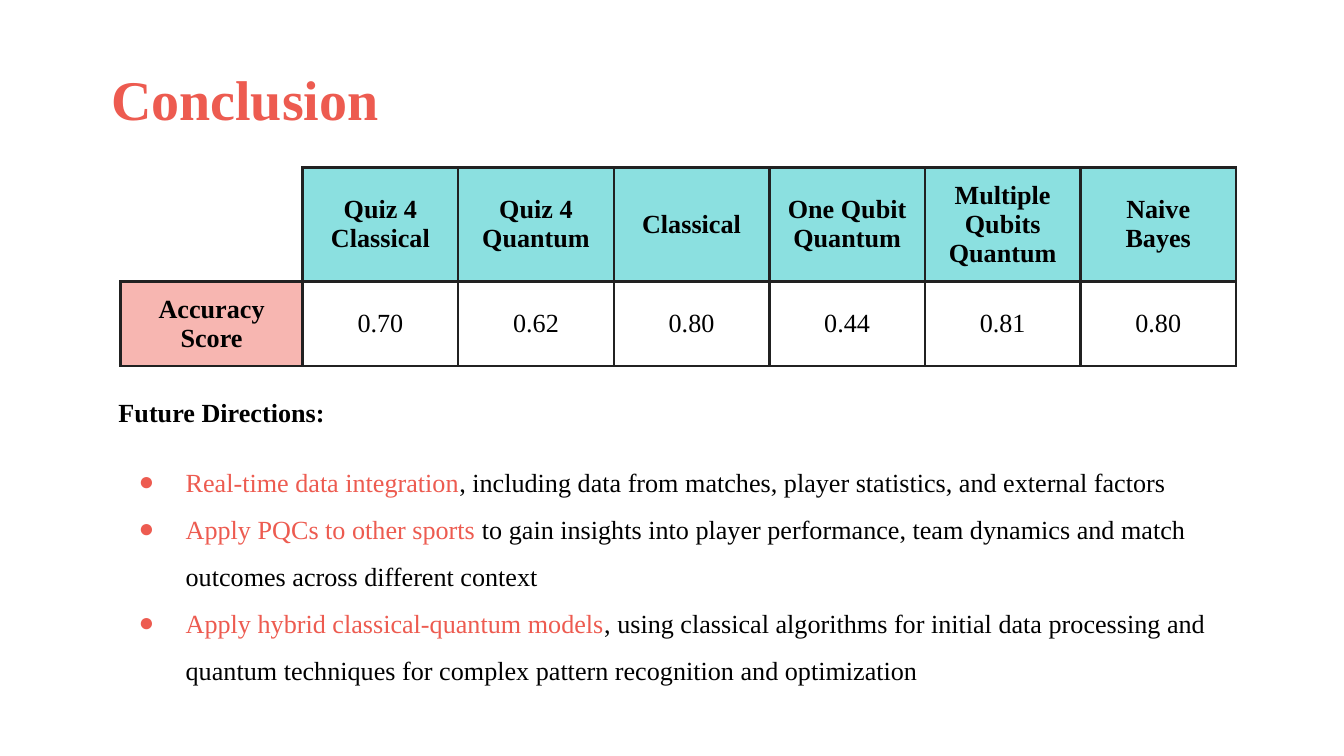
from lxml.etree import SubElement
from pptx import Presentation
from pptx.dml.color import RGBColor
from pptx.enum.text import MSO_ANCHOR, MSO_AUTO_SIZE, PP_ALIGN
from pptx.oxml import parse_xml
from pptx.oxml.ns import nsdecls, qn
from pptx.util import Cm, Pt

FONT = "Times New Roman"
CORAL = "ED5B50"
BLACK = "000000"
BORDER = "212121"
TEAL = "18C2C2"
PINK = "F06F65"
INSET = Cm(0.25)

HEADERS = [
    ["Quiz 4", "Classical"],
    ["Quiz 4", "Quantum"],
    ["Classical"],
    ["One Qubit Quantum"],
    ["Multiple Qubits Quantum"],
    ["Naive Bayes"],
]
SCORES = ["0.70", "0.62", "0.80", "0.44", "0.81", "0.80"]
DIRECTIONS = [
    ("Real-time data integration",
     ", including data from matches, player statistics, and external factors"),
    ("Apply PQCs to other sports",
     " to gain insights into player performance, team dynamics and match "
     "outcomes across different context"),
    ("Apply hybrid classical-quantum models",
     ", using classical algorithms for initial data processing and quantum "
     "techniques for complex pattern recognition and optimization"),
]


def color(value):
    return RGBColor.from_string(value)


def add_span(para, text, size=14, fill=BLACK, bold=False):
    span = para.add_run()
    span.text = text
    span.font.name = FONT
    span.font.size = Pt(size)
    span.font.bold = bold
    span.font.color.rgb = color(fill)


def set_frame(frame, anchor):
    frame.margin_left = frame.margin_right = INSET
    frame.margin_top = frame.margin_bottom = INSET
    frame.vertical_anchor = anchor
    frame.word_wrap = True
    frame.auto_size = MSO_AUTO_SIZE.NONE


def add_title(page, text):
    title = page.shapes.title
    title.left, title.top = Cm(1.85), Cm(1.22)
    title.width, title.height = Cm(22.15), Cm(1.27)
    set_frame(title.text_frame, MSO_ANCHOR.MIDDLE)
    para = title.text_frame.paragraphs[0]
    para.alignment = PP_ALIGN.LEFT
    add_span(para, text, 30, CORAL, True)


def add_borders(cell, sides):
    properties = cell._tc.get_or_add_tcPr()
    for position, side in enumerate(sides):
        line = parse_xml(
            f'<a:ln{side} {nsdecls("a")} w="{Pt(1.5)}"><a:solidFill>'
            f'<a:srgbClr val="{BORDER}"/></a:solidFill></a:ln{side}>')
        properties.insert(position, line)


def fill_cell(cell, lines, fill=None, bold=False, sides="LRTB"):
    cell.margin_left = cell.margin_right = INSET
    cell.margin_top = cell.margin_bottom = INSET
    cell.vertical_anchor = MSO_ANCHOR.MIDDLE
    if fill:
        cell.fill.solid()
        cell.fill.fore_color.rgb = color(fill)
        shade = cell._tc.tcPr.find(qn("a:solidFill")).find(qn("a:srgbClr"))
        SubElement(shade, qn("a:alpha"), val="50000")
    else:
        cell.fill.background()
    add_borders(cell, sides)
    frame = cell.text_frame
    for index, text in enumerate(lines):
        para = frame.add_paragraph() if index else frame.paragraphs[0]
        para.alignment = PP_ALIGN.CENTER
        add_span(para, text, bold=bold)


def add_score_table(page):
    label_width, score_width = Cm(3.44), Cm(2.94)
    heights = [Cm(2.15), Cm(1.6)]
    count = len(SCORES)
    frame = page.shapes.add_table(
        2, count + 1, Cm(2.28), Cm(3.17),
        label_width + count * score_width, sum(heights))
    table = frame.table
    table.first_row = table.horz_banding = False
    for row, height in zip(table.rows, heights):
        row.height = height
    for index, column in enumerate(table.columns):
        column.width = score_width if index else label_width
    fill_cell(table.cell(0, 0), [], sides="RB")
    fill_cell(table.cell(1, 0), ["Accuracy Score"], PINK, True)
    for index, (header, score) in enumerate(zip(HEADERS, SCORES), 1):
        fill_cell(table.cell(0, index), header, TEAL, True)
        fill_cell(table.cell(1, index), [score])


def add_bullet(para):
    properties = para._p.get_or_add_pPr()
    properties.set("marL", str(Cm(1.27)))
    properties.set("indent", str(-Cm(0.89)))
    shade = SubElement(properties, qn("a:buClr"))
    SubElement(shade, qn("a:srgbClr"), val=CORAL)
    SubElement(properties, qn("a:buFont"), typeface=FONT)
    SubElement(properties, qn("a:buChar"), char="●")


def add_directions(page):
    box = page.shapes.add_textbox(Cm(1.99), Cm(7.16), Cm(21.87), Cm(3.91))
    frame = box.text_frame
    set_frame(frame, MSO_ANCHOR.TOP)
    heading = frame.paragraphs[0]
    heading.line_spacing = 1.15
    add_span(heading, "Future Directions:", bold=True)
    for index, (lead, detail) in enumerate(DIRECTIONS):
        para = frame.add_paragraph()
        add_bullet(para)
        para.line_spacing = 1.5
        para.space_before = Pt(0 if index else 12)
        add_span(para, lead, fill=CORAL)
        add_span(para, detail)


def main():
    deck = Presentation()
    deck.slide_width, deck.slide_height = Cm(25.4), Cm(14.29)
    page = deck.slides.add_slide(deck.slide_layouts[5])
    add_title(page, "Conclusion")
    add_score_table(page)
    add_directions(page)
    deck.save("out.pptx")


if __name__ == "__main__":
    main()
